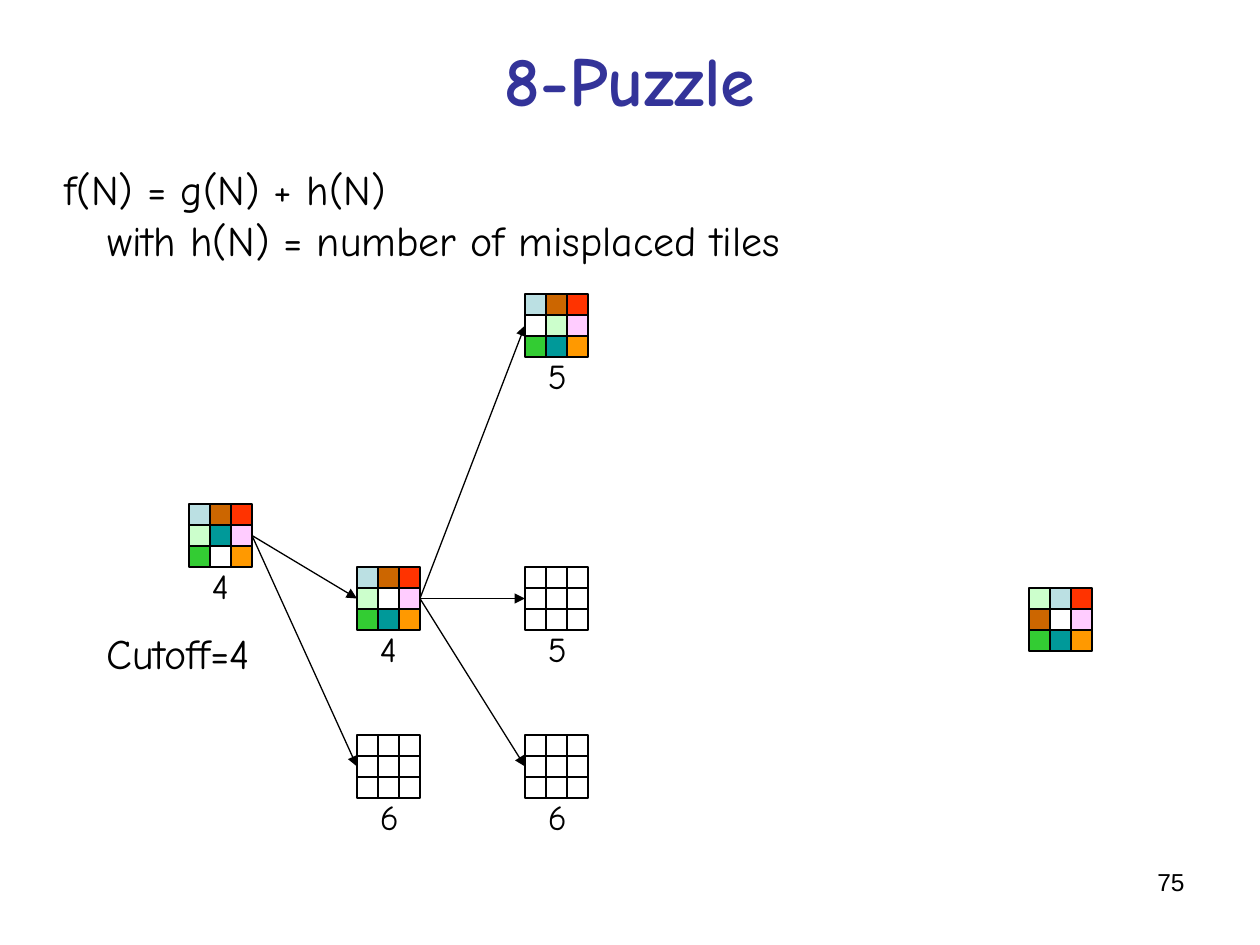
"""Build the 8-Puzzle search tree slide."""
from lxml.etree import SubElement
from pptx import Presentation
from pptx.dml.color import RGBColor
from pptx.enum.shapes import MSO_CONNECTOR, MSO_SHAPE
from pptx.enum.text import MSO_ANCHOR, PP_ALIGN
from pptx.oxml.ns import qn
from pptx.util import Cm, Pt

COLORS = {
    "black": "000000", "title": "333399", "sky": "BBE0E3", "brown": "CC6600",
    "red": "FF3300", "mint": "CCFFCC", "teal": "009999", "pink": "FFCCFF",
    "green": "33CC33", "orange": "FF9900", "white": "FFFFFF",
}
TILE = 2.54 / 6
BLANK_BOARD = ["white"] * 9
START = "sky brown red mint teal pink green white orange".split()
MIDDLE = "sky brown red mint white pink green teal orange".split()
TOP = "sky brown red white mint pink green teal orange".split()
GOAL = "mint sky red brown white pink green teal orange".split()

# name: (column, row, tiles, label), with column and row counted in tiles
BOARDS = {
    "start": (9, 24, START, "4"),
    "goal": (49, 28, GOAL, None),
    "middle": (17, 27, MIDDLE, "4"),
    "lower": (17, 35, BLANK_BOARD, "6"),
    "right lower": (25, 35, BLANK_BOARD, "6"),
    "right middle": (25, 27, BLANK_BOARD, "5"),
    "right top": (25, 14, TOP, "5"),
}
MOVES = [
    ("start", "middle"), ("start", "lower"), ("middle", "right lower"),
    ("middle", "right middle"), ("middle", "right top"),
]


def rgb(name):
    """Return the named colour."""
    return RGBColor.from_string(COLORS[name])


def write(paragraph, text, size=20, font="Comic Neue", color="black", bold=False,
          align=PP_ALIGN.LEFT, indent=0):
    """Put formatted text into a paragraph."""
    paragraph.text = text
    paragraph.alignment = align
    if indent:
        paragraph._p.get_or_add_pPr().set("marL", str(Cm(indent)))
    paragraph.font.size = Pt(size)
    paragraph.font.name = font
    paragraph.font.bold = bold
    paragraph.font.color.rgb = rgb(color)


class PuzzleSlide:
    """Hold the line style and the current slide."""

    line_width = Pt(0.75)

    def __init__(self, slide):
        """Keep the slide to draw on."""
        self.slide = slide

    def title(self, text):
        """Place and format the title."""
        title = self.slide.shapes.title
        title.left, title.top, title.width, title.height = Cm(1.27), Cm(0), Cm(22.86), Cm(3.18)
        title.text_frame.vertical_anchor = MSO_ANCHOR.MIDDLE
        write(title.text_frame.paragraphs[0], text, size=40, color="title", bold=True,
              align=PP_ALIGN.CENTER)

    def text(self, left, top, width, height, lines, wrap=False, **style):
        """Add a text box of (text, indent) lines."""
        box = self.slide.shapes.add_textbox(Cm(left), Cm(top), Cm(width), Cm(height))
        frame = box.text_frame
        frame.word_wrap = wrap
        for number, (text, indent) in enumerate(lines):
            paragraph = frame.add_paragraph() if number else frame.paragraphs[0]
            write(paragraph, text, indent=indent, **style)

    def board(self, column, row, tiles, label):
        """Add a grouped three by three board and its label."""
        group = self.slide.shapes.add_group_shape()
        for number, color in enumerate(tiles):
            down, across = divmod(number, 3)
            tile = group.shapes.add_shape(
                MSO_SHAPE.RECTANGLE, Cm((column + across) * TILE), Cm((row + down) * TILE),
                Cm(TILE), Cm(TILE))
            tile.shadow.inherit = False
            tile.fill.solid()
            tile.fill.fore_color.rgb = rgb(color)
            tile.line.color.rgb = rgb("black")
            tile.line.width = self.line_width
        if label:
            self.text(column * TILE + 0.21, row * TILE + 1.1, 0.93, 1.1, [(label, 0)])

    def arrow(self, source, target):
        """Add an arrow from the right of one board to the left of another."""
        connector = self.slide.shapes.add_connector(
            MSO_CONNECTOR.STRAIGHT,
            Cm((source[0] + 3) * TILE), Cm((source[1] + 1.5) * TILE),
            Cm(target[0] * TILE), Cm((target[1] + 1.5) * TILE))
        connector.line.color.rgb = rgb("black")
        connector.line.width = self.line_width
        SubElement(connector.line._get_or_add_ln(), qn("a:tailEnd"), type="triangle")
        SubElement(connector._element.spPr, qn("a:effectLst"))


def main():
    """Build and save the presentation."""
    presentation = Presentation()
    presentation.slide_width, presentation.slide_height = Cm(25.4), Cm(19.05)
    page = PuzzleSlide(presentation.slides.add_slide(presentation.slide_layouts[5]))
    page.title("8-Puzzle")
    page.text(1.06, 3.18, 16.06, 2.29, [
        ("f(N) = g(N) + h(N)", 0),
        ("with h(N) = number of misplaced tiles", 0.85),
    ], size=24)
    for board in BOARDS.values():
        page.board(*board)
    for source, target in MOVES:
        page.arrow(BOARDS[source], BOARDS[target])
    page.text(1.9, 12.52, 4.11, 1.27, [("Cutoff=4", 0)], size=24)
    page.text(18.2, 17.35, 5.93, 1.32, [("75", 0)], wrap=True, size=14, font="Arial",
              align=PP_ALIGN.RIGHT)
    presentation.save("out.pptx")


if __name__ == "__main__":
    main()
